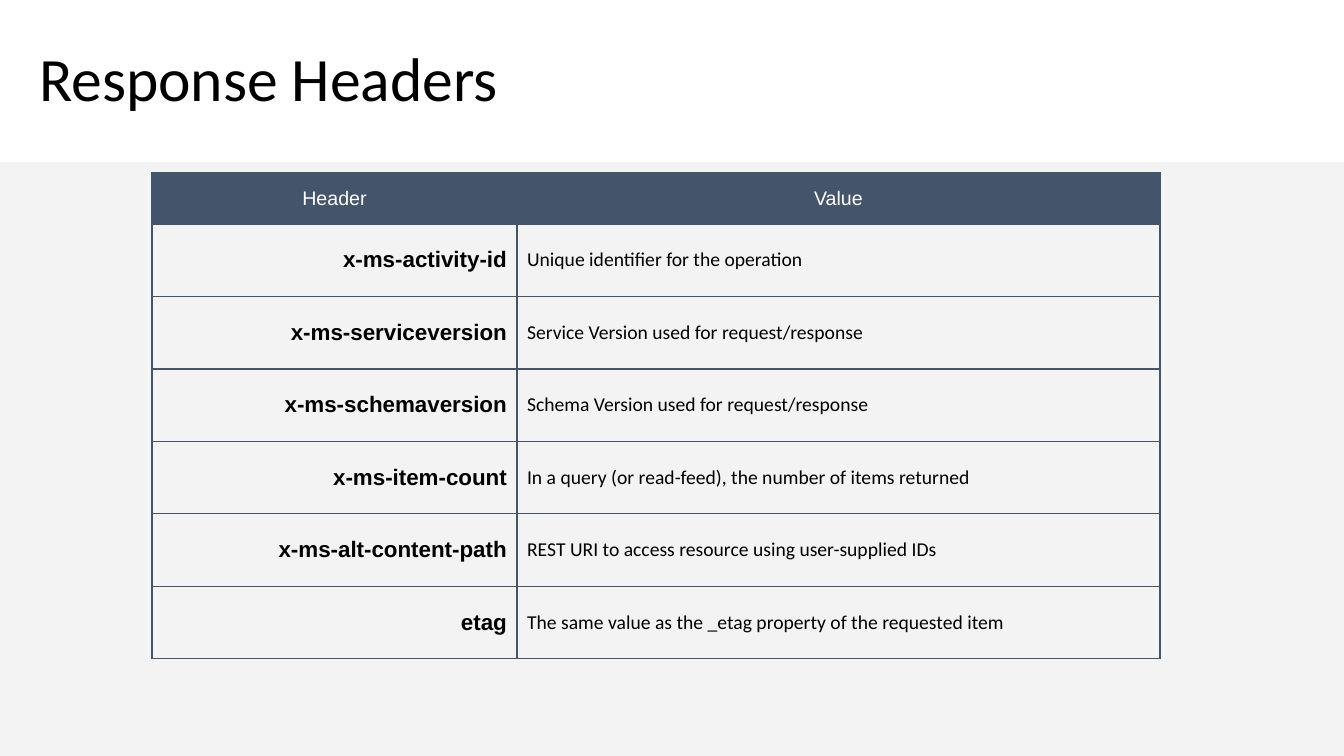
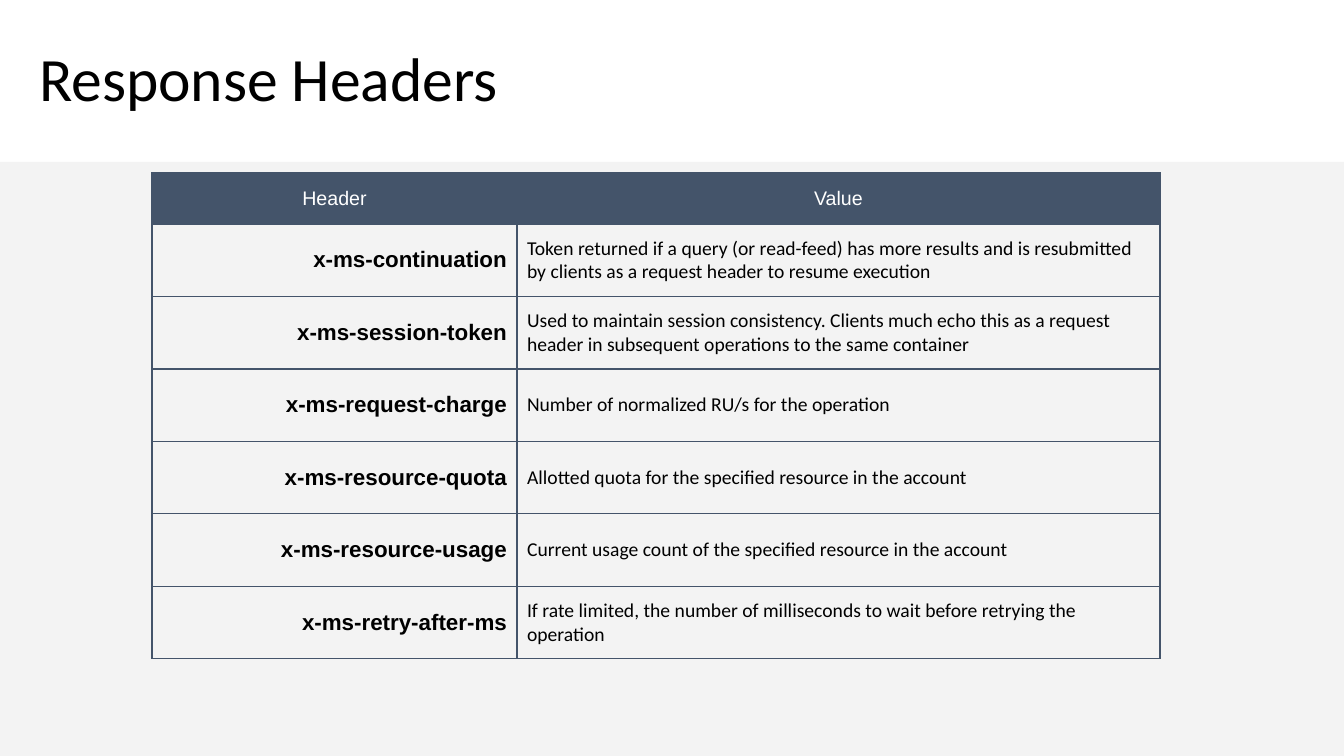
from lxml import etree
from pptx import Presentation
from pptx.dml.color import RGBColor
from pptx.enum.shapes import MSO_SHAPE
from pptx.enum.text import MSO_ANCHOR, PP_ALIGN
from pptx.oxml.ns import qn
from pptx.util import Pt

RECTANGLE = MSO_SHAPE.RECTANGLE
MIDDLE = MSO_ANCHOR.MIDDLE
LEFT, CENTER, RIGHT = PP_ALIGN.LEFT, PP_ALIGN.CENTER, PP_ALIGN.RIGHT
SLIDE_WIDTH, SLIDE_HEIGHT = 1344, 756
EMU_PER_PX = 12192000 / SLIDE_WIDTH
BLACK, WHITE, SLATE, PALE = "000000", "FFFFFF", "44546A", "F2F2F2"

# Table layout: one header row, the body rows share the rest equally
TABLE_LEFT, TABLE_TOP = 152, 173
COLUMN_WIDTHS = (365, 643)
HEADER_HEIGHT, BODY_HEIGHT = 51, 435
HEADINGS = ("Header", "Value")
# font, size, bold, alignment
HEADING_STYLE = ("Arial", 14, False, CENTER)
BODY_STYLES = (("Arial", 16, True, RIGHT), ("Calibri", 14, False, LEFT))

TABLES = (
    (
        ("x-ms-activity-id", "Unique identifier for the operation"),
        ("x-ms-serviceversion", "Service Version used for request/response"),
        ("x-ms-schemaversion", "Schema Version used for request/response"),
        ("x-ms-item-count", "In a query (or read-feed), the number of items returned"),
        ("x-ms-alt-content-path", "REST URI to access resource using user-supplied IDs"),
        ("etag", "The same value as the _etag property of the requested item"),
    ),
    (
        ("x-ms-continuation", "Token returned if a query (or read-feed) has more results "
         "and is resubmitted by clients as a request header to resume execution"),
        ("x-ms-session-token", "Used to maintain session consistency. Clients much echo this "
         "as a request header in subsequent operations to the same container"),
        ("x-ms-request-charge", "Number of normalized RU/s for the operation"),
        ("x-ms-resource-quota", "Allotted quota for the specified resource in the account"),
        ("x-ms-resource-usage", "Current usage count of the specified resource in the account"),
        ("x-ms-retry-after-ms", "If rate limited, the number of milliseconds to wait "
         "before retrying the operation"),
    ),
)


def px(length):
    return round(length * EMU_PER_PX)


def write(frame, text, font, size, bold, align, color):
    para = frame.paragraphs[0]
    para.alignment = align
    span = para.add_run()
    span.text = text
    span.font.name = font
    span.font.size = Pt(size)
    span.font.bold = bold
    span.font.color.rgb = RGBColor.from_string(color)
    return para


deck = Presentation()
deck.slide_width, deck.slide_height = px(SLIDE_WIDTH), px(SLIDE_HEIGHT)

# Shared title place
layout = deck.slide_layouts[5]
title = layout.placeholders[0]
title.left, title.top, title.width, title.height = px(29), px(32), px(1285), px(99)
title.text_frame.vertical_anchor = MIDDLE
pages = [deck.slides.add_slide(layout) for _ in TABLES]

# Shared band, moved from the first page to the back of the layout
band = pages[0].shapes.add_shape(RECTANGLE, 0, px(162), px(SLIDE_WIDTH), px(594))
band.shadow.inherit = False
band.line.fill.background()
band.fill.solid()
band.fill.fore_color.rgb = RGBColor.from_string(PALE)
band_color = band.element.spPr.find(qn("a:solidFill"))[0]
etree.SubElement(band_color, qn("a:alpha"), val="89000")
layout.shapes.element.insert(2, band.element)

for page, entries in zip(pages, TABLES):
    # Title
    para = write(page.shapes.title.text_frame, "Response Headers",
                 "Calibri", 44, False, LEFT, BLACK)
    para.line_spacing = 0.9

    # Table
    rows = (HEADINGS,) + entries
    table = page.shapes.add_table(
        len(rows), len(HEADINGS), px(TABLE_LEFT), px(TABLE_TOP),
        px(sum(COLUMN_WIDTHS)), px(HEADER_HEIGHT + BODY_HEIGHT)).table
    table.first_row = True
    table.horz_banding = False
    for column, width in zip(table.columns, COLUMN_WIDTHS):
        column.width = px(width)
    for r, texts in enumerate(rows):
        is_heading = r == 0
        table.rows[r].height = px(HEADER_HEIGHT if is_heading else BODY_HEIGHT / len(entries))
        for c, text in enumerate(texts):
            cell = table.cell(r, c)
            cell.vertical_anchor = MIDDLE
            style = HEADING_STYLE if is_heading else BODY_STYLES[c]
            write(cell.text_frame, text, *style, WHITE if is_heading else BLACK)

            # Cell borders come before the fill in the cell properties
            properties = cell._tc.get_or_add_tcPr()
            for side in ("a:lnL", "a:lnR", "a:lnT", "a:lnB"):
                border = etree.SubElement(properties, qn(side), w=str(Pt(1)))
                fill = etree.SubElement(border, qn("a:solidFill"))
                etree.SubElement(fill, qn("a:srgbClr"), val=SLATE)

            if is_heading:
                cell.margin_left = cell.margin_right = px(5)
                cell.margin_top = cell.margin_bottom = px(5)
                cell.fill.solid()
                cell.fill.fore_color.rgb = RGBColor.from_string(SLATE)
            else:
                cell.fill.background()

deck.save("out.pptx")
